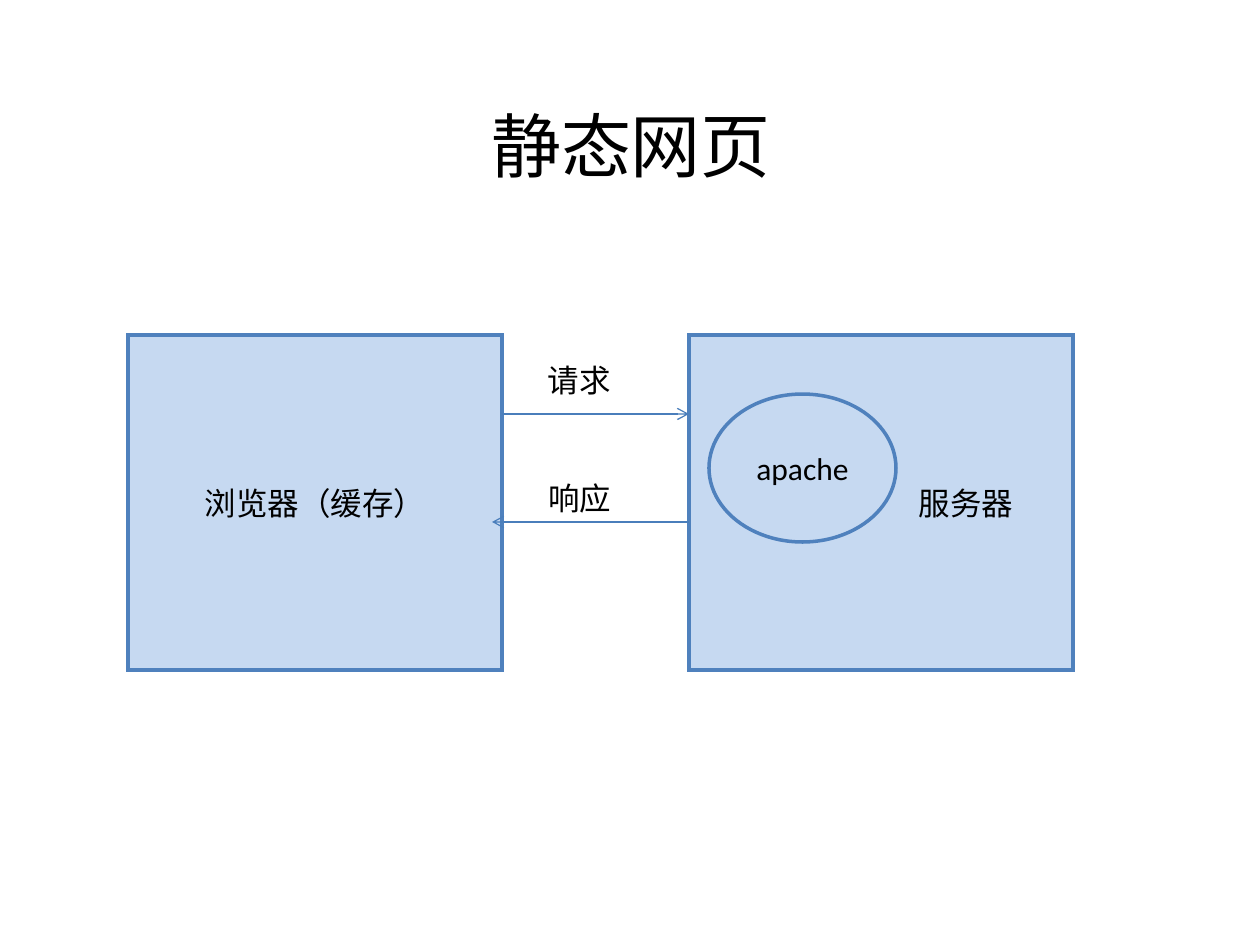
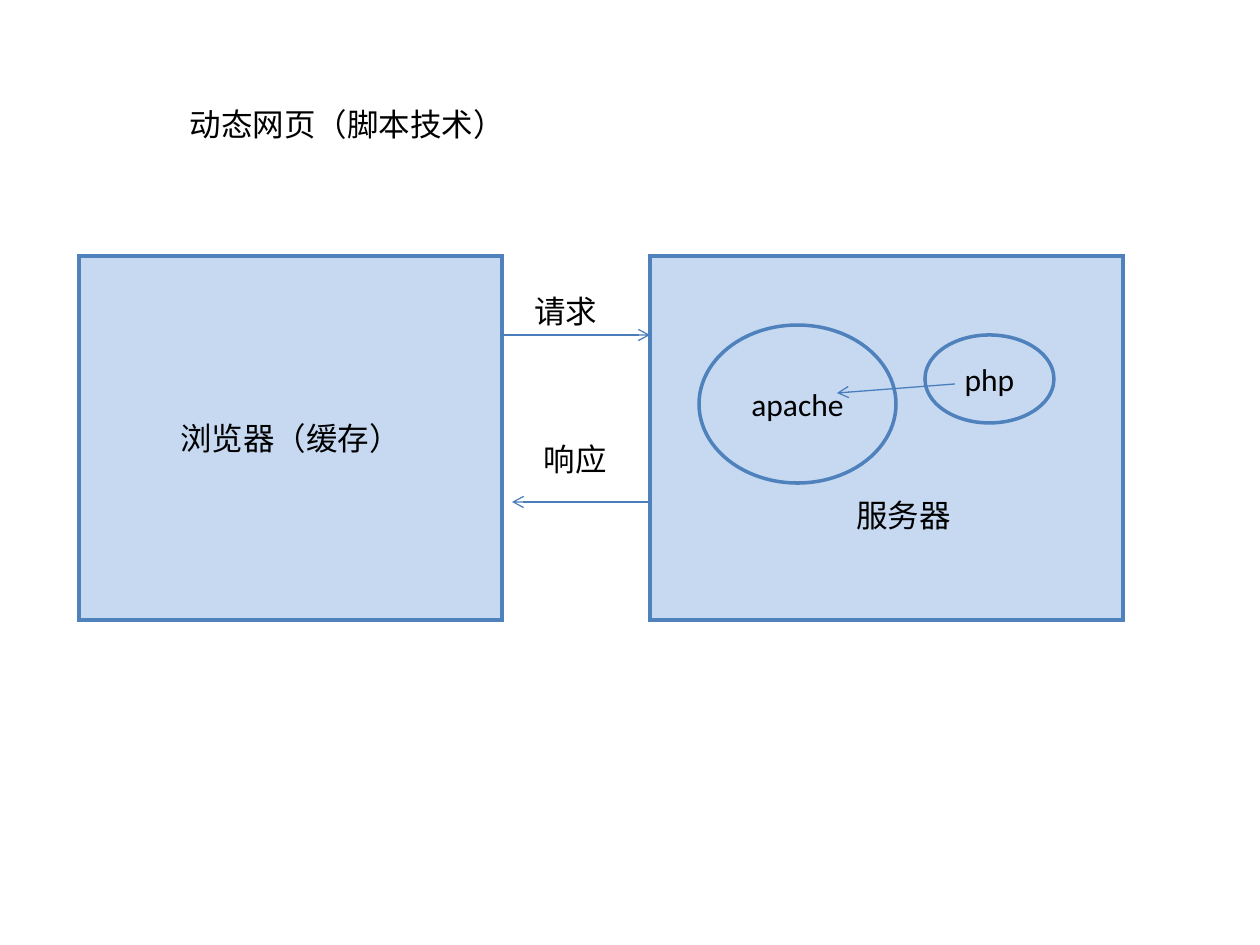
from collections import namedtuple

from lxml.etree import SubElement
from pptx import Presentation
from pptx.dml.color import RGBColor
from pptx.enum.shapes import MSO_CONNECTOR, MSO_SHAPE
from pptx.enum.text import MSO_ANCHOR, PP_ALIGN
from pptx.oxml.ns import qn
from pptx.util import Pt

EMU_PER_PX = 914400 / 126
COLORS = {"text": "000000", "fill": "C6D9F1", "outline": "4F81BD", "arrow": "4A7EBB"}
CJK_FONT = "Noto Sans CJK SC"
SIDE_INSET, TOP_INSET = 12, 6
REQUEST_Y = 79

Box = namedtuple("Box", "left top width height")


def px(value):
    return round(value * EMU_PER_PX)


def color(name):
    return RGBColor.from_string(COLORS[name])


def inside(parent, left, top, width, height):
    return Box(parent.left + left, parent.top + top, width, height)


def write(shape, text, font_name, size=18, align=PP_ALIGN.LEFT,
          anchor=MSO_ANCHOR.TOP, left_inset=SIDE_INSET, top_inset=TOP_INSET):
    frame = shape.text_frame
    frame.word_wrap = True
    frame.vertical_anchor = anchor
    frame.margin_left, frame.margin_right = px(left_inset), px(SIDE_INSET)
    frame.margin_top, frame.margin_bottom = px(top_inset), px(TOP_INSET)
    paragraph = frame.paragraphs[0]
    paragraph.alignment = align
    run = paragraph.add_run()
    run.text = text
    run.font.size = Pt(size)
    run.font.color.rgb = color("text")
    run.font.name = font_name
    SubElement(run.font._element, qn("a:ea"), typeface=CJK_FONT)


def add_label(slide, box, text, font_name="Arial", **style):
    label = slide.shapes.add_textbox(*map(px, box))
    write(label, text, font_name, **style)


def add_node(slide, kind, box, text, **style):
    node = slide.shapes.add_shape(kind, *map(px, box))
    node.shadow.inherit = False
    node.fill.solid()
    node.fill.fore_color.rgb = color("fill")
    node.line.color.rgb = color("outline")
    node.line.width = Pt(2)
    SubElement(node.line._get_or_add_ln(), qn("a:miter"), lim="800000")
    write(node, text, "Calibri", align=PP_ALIGN.CENTER,
          anchor=MSO_ANCHOR.MIDDLE, **style)


def add_arrow(slide, box, start, end):
    points = [px(origin + offset) for point in (start, end)
              for origin, offset in zip((box.left, box.top), point)]
    arrow = slide.shapes.add_connector(MSO_CONNECTOR.STRAIGHT, *points)
    arrow.line.color.rgb = color("arrow")
    arrow.line.width = Pt(0.75)
    SubElement(arrow.line._get_or_add_ln(), qn("a:tailEnd"), type="arrow")
    SubElement(arrow._element.spPr, qn("a:effectLst"))


def draw_browser(slide, box):
    add_node(slide, MSO_SHAPE.RECTANGLE, box, "浏览器（缓存）")


def draw_server(slide, box, programs, **label_insets):
    add_node(slide, MSO_SHAPE.RECTANGLE, box, "服务器", **label_insets)
    for name, place in programs.items():
        add_node(slide, MSO_SHAPE.OVAL, inside(box, *place), name)


def draw_exchange(slide, browser, server, request_label, response_label,
                  response_y, response_end, label_inset=SIDE_INSET):
    right = browser.left + browser.width
    gap = Box(right, browser.top, server.left - right, browser.height)
    add_arrow(slide, gap, (0, REQUEST_Y), (gap.width, REQUEST_Y))
    add_arrow(slide, gap, (gap.width, response_y), (response_end, response_y))
    for text, place in (("请求", request_label), ("响应", response_label)):
        add_label(slide, inside(gap, *place), text, left_inset=label_inset)


def build_static_page(slide):
    browser = Box(128, 335, 374, 335)
    server = Box(689, 335, 384, 335)
    add_label(slide, Box(64, 26, 1134, 237), "静态网页", CJK_FONT, size=40,
              align=PP_ALIGN.CENTER, anchor=MSO_ANCHOR.MIDDLE)
    draw_browser(slide, browser)
    draw_server(slide, server, {"apache": (20, 59, 187, 148)}, left_inset=182)
    draw_exchange(slide, browser, server, (20, 20, 137, 50), (20, 138, 108, 50),
                  response_y=187, response_end=-10, label_inset=26)


def build_dynamic_page(slide):
    browser = Box(79, 256, 423, 364)
    server = Box(650, 256, 473, 364)
    add_label(slide, Box(178, 99, 788, 50), "动态网页（脚本技术）")
    draw_browser(slide, browser)
    programs = {"apache": (49, 69, 197, 158), "php": (275, 79, 129, 88)}
    draw_server(slide, server, programs, left_inset=46, top_inset=159)
    add_arrow(slide, server, (305, 128), (187, 137))
    draw_exchange(slide, browser, server, (20, 30, 108, 50), (30, 178, 92, 50),
                  response_y=246, response_end=10)


def main():
    presentation = Presentation()
    presentation.slide_width, presentation.slide_height = px(1260), px(945)
    for build in (build_static_page, build_dynamic_page):
        build(presentation.slides.add_slide(presentation.slide_layouts[6]))
    presentation.save("out.pptx")


if __name__ == "__main__":
    main()
